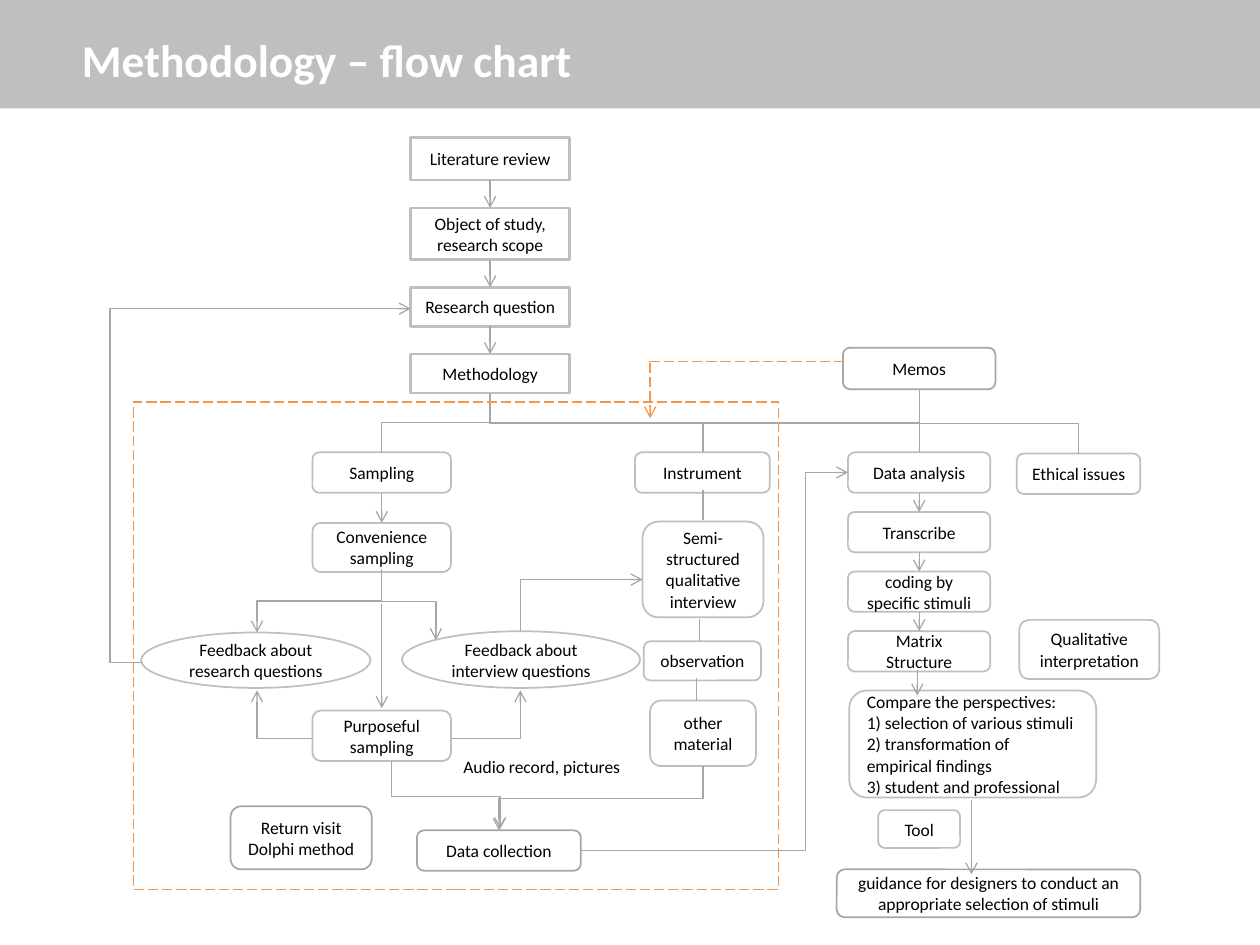
from itertools import pairwise

from lxml.etree import SubElement
from pptx import Presentation
from pptx.dml.color import RGBColor
from pptx.enum.dml import MSO_LINE
from pptx.enum.shapes import MSO_CONNECTOR, MSO_SHAPE
from pptx.enum.text import MSO_ANCHOR, PP_ALIGN
from pptx.oxml.ns import qn
from pptx.util import Inches, Pt

SLIDE_WIDTH, SLIDE_HEIGHT = Inches(10), Inches(7.5)
COLUMNS, ROWS = 100, 75
LIGHT, GREY, ORANGE = "BFBFBF", "A6A6A6", "F79646"
ROUNDED, OVAL, RECTANGLE = MSO_SHAPE.ROUNDED_RECTANGLE, MSO_SHAPE.OVAL, MSO_SHAPE.RECTANGLE
QUARTER_TURN = "5400000"


def color(value):
    return RGBColor.from_string(value)


def column(number):
    return round(SLIDE_WIDTH * number / COLUMNS)


def row(number):
    return round(SLIDE_HEIGHT * number / ROWS)


def area(left, top, width, height):
    return column(left), row(top), column(width), row(height)


def write(shape, text, size=10, ink="000000", bold=False, align=PP_ALIGN.CENTER, anchor=MSO_ANCHOR.MIDDLE):
    frame = shape.text_frame
    frame.text = text
    frame.word_wrap = True
    frame.vertical_anchor = anchor
    for para in frame.paragraphs:
        para.alignment = align
        for span in para.runs:
            span.font.name = "Calibri"
            span.font.size = Pt(size)
            span.font.bold = bold
            span.font.color.rgb = color(ink)


def add_box(page, place, text="", kind=ROUNDED, outline=LIGHT, weight=1, fill=None, align=PP_ALIGN.CENTER):
    box = page.shapes.add_shape(kind, *area(*place))
    box.shadow.inherit = False
    if fill:
        box.fill.solid()
        box.fill.fore_color.rgb = color(fill)
    else:
        box.fill.background()
    if outline:
        box.line.color.rgb = color(outline)
        box.line.width = Pt(weight)
    else:
        box.line.fill.background()
    if text:
        write(box, text, align=align)
    return box


def add_line(page, start, end, arrow=True, ink=GREY, dashed=False, kind=MSO_CONNECTOR.STRAIGHT):
    line = page.shapes.add_connector(kind, column(start[0]), row(start[1]), column(end[0]), row(end[1]))
    line.line.color.rgb = color(ink)
    line.line.width = Pt(0.75)
    if dashed:
        line.line.dash_style = MSO_LINE.LONG_DASH
    properties = line._element.spPr
    if arrow:
        SubElement(properties.find(qn("a:ln")), qn("a:tailEnd"), type="arrow")
    SubElement(properties, qn("a:effectLst"))
    return line


def add_elbow(page, start, end, bend=None, downward=False, arrow=True):
    if downward:
        middle_x, middle_y = (start[0] + end[0]) / 2, (start[1] + end[1]) / 2
        half_x, half_y = (end[0] - start[0]) / 2, (end[1] - start[1]) / 2
        start = middle_x - half_y, middle_y + half_x
        end = middle_x + half_y, middle_y - half_x
    line = add_line(page, start, end, arrow, kind=MSO_CONNECTOR.ELBOW)
    properties = line._element.spPr
    if downward:
        properties.find(qn("a:xfrm")).set("rot", QUARTER_TURN)
    geometry = properties.find(qn("a:prstGeom"))
    if bend is None:
        geometry.set("prst", "bentConnector2")
    else:
        adjustments = geometry.find(qn("a:avLst"))
        SubElement(adjustments, qn("a:gd"), name="adj1", fmla=f"val {round(bend * 100000)}")


def add_chain(page, left, width, steps, **style):
    center = left + width / 2
    for text, top, height in steps:
        add_box(page, (left, top, width, height), text, **style)
    for (_, top, height), (_, next_top, _) in pairwise(steps):
        add_line(page, (center, top + height), (center, next_top))


def add_heading(page):
    band = add_box(page, (0, -0.8, 100, 9.4), kind=RECTANGLE, outline=None, fill=LIGHT)
    page.shapes._spTree.insert(2, band._element)
    title = page.shapes.title
    title.left, title.top, title.width, title.height = area(5.5, 1.6, 79.7, 6.2)
    write(title, "Methodology – flow chart", 26, "FFFFFF", True, PP_ALIGN.LEFT)


def add_boxes(page):
    add_chain(page, 32.6, 12.6, [
        ("Literature review", 10.9, 3.4),
        ("Object of study, research scope", 16.5, 4.1),
        ("Research question", 22.8, 3.1),
        ("Methodology", 28.1, 3.1),
    ], kind=RECTANGLE, weight=1.5, fill="FFFFFF")
    add_chain(page, 24.8, 11, [("Sampling", 35.9, 3.2), ("Convenience sampling", 41.5, 3.9)])
    analysis = ["Data analysis", "Transcribe", "coding by specific stimuli", "Matrix Structure"]
    add_chain(page, 67.3, 11.3, [(text, 35.9 + 4.73 * index, 3.2) for index, text in enumerate(analysis)])
    for text, place in [
        ("Instrument", (50.4, 35.9, 10.7, 3.2)),
        ("Semi-structured qualitative interview", (51, 41.4, 9.6, 7.6)),
        ("observation", (51.1, 50.9, 9.3, 3.1)),
        ("other material", (51.6, 55.6, 8.4, 5.2)),
        ("Purposeful sampling", (24.8, 56.4, 11, 4)),
        ("Ethical issues", (80.7, 36, 9.8, 3.2)),
        ("Qualitative interpretation", (80.9, 49.2, 11.1, 4.7)),
        ("Tool", (69.7, 64.3, 6.5, 3)),
    ]:
        add_box(page, place, text)
    for text, place in [
        ("Memos", (66.9, 27.6, 12.1, 3.3)),
        ("Return visit\nDolphi method", (18.3, 64, 11.2, 5)),
        ("Data collection", (33.1, 65.9, 13, 3.2)),
        ("guidance for designers to conduct an appropriate selection of stimuli", (66.4, 69, 24.1, 3.8)),
    ]:
        add_box(page, place, text, outline=GREY)
    add_box(page, (11.2, 50.2, 18.2, 4.4), "Feedback about research questions", OVAL)
    add_box(page, (31.9, 50.1, 18.9, 4.5), "Feedback about interview questions", OVAL)
    perspectives = [
        "Compare the perspectives:",
        "1) selection of various stimuli",
        "2) transformation of empirical findings",
        "3) student and professional",
    ]
    add_box(page, (67.4, 54.8, 19.6, 8.5), "\n".join(perspectives), align=PP_ALIGN.LEFT)
    caption = page.shapes.add_textbox(*area(35.8, 59.5, 16.7, 2.7))
    write(caption, "Audio record, pictures", align=PP_ALIGN.LEFT, anchor=MSO_ANCHOR.TOP)


def add_links(page):
    for branch in [(30.3, 35.9), (55.8, 35.9), (73, 35.9), (85.6, 36)]:
        add_elbow(page, (38.9, 31.2), branch, 0.5, downward=True, arrow=False)
    for start, end, bend in [
        ((30.3, 45.2), (34.6, 50.8), 0.45),
        ((31.1, 60.4), (39.7, 65.8), 0.52),
        ((55.8, 60.8), (39.6, 65.9), 0.5),
        ((41.3, 50.1), (51, 46), None),
    ]:
        add_elbow(page, start, end, bend, downward=True)
    for start, end, bend in [
        ((30.3, 47.7), (20.4, 50.2), None),
        ((24.8, 58.6), (20.4, 54.8), None),
        ((35.8, 58.6), (41.3, 54.8), None),
        ((11.3, 52.6), (32.6, 24.5), -0.12),
        ((46.1, 67.5), (67.3, 37.5), 0.84),
    ]:
        add_elbow(page, start, end, bend)
    for center, top, bottom, arrow in [
        (30.3, 47.9, 56.2, True),
        (72.8, 53.2, 55.2, True),
        (77.1, 63.5, 69.4, True),
        (55.8, 38.9, 41.3, False),
        (55.5, 49.1, 50.9, False),
        (55.3, 53.8, 55.6, False),
        (73, 30.9, 35.9, False),
    ]:
        add_line(page, (center, top), (center, bottom), arrow)


def add_memo_scope(page):
    scope = add_box(page, (10.6, 31.9, 51.2, 38.7), kind=RECTANGLE, outline=ORANGE, weight=0.75)
    scope.line.dash_style = MSO_LINE.LONG_DASH
    add_line(page, (67, 28.7), (51.4, 28.7), False, ORANGE, True)
    add_line(page, (51.6, 28.8), (51.6, 33.2), True, ORANGE, True)


def main():
    deck = Presentation()
    deck.slide_width, deck.slide_height = SLIDE_WIDTH, SLIDE_HEIGHT
    page = deck.slides.add_slide(deck.slide_layouts.get_by_name("Title Only"))
    add_heading(page)
    add_boxes(page)
    add_links(page)
    add_memo_scope(page)
    deck.save("out.pptx")


if __name__ == "__main__":
    main()
